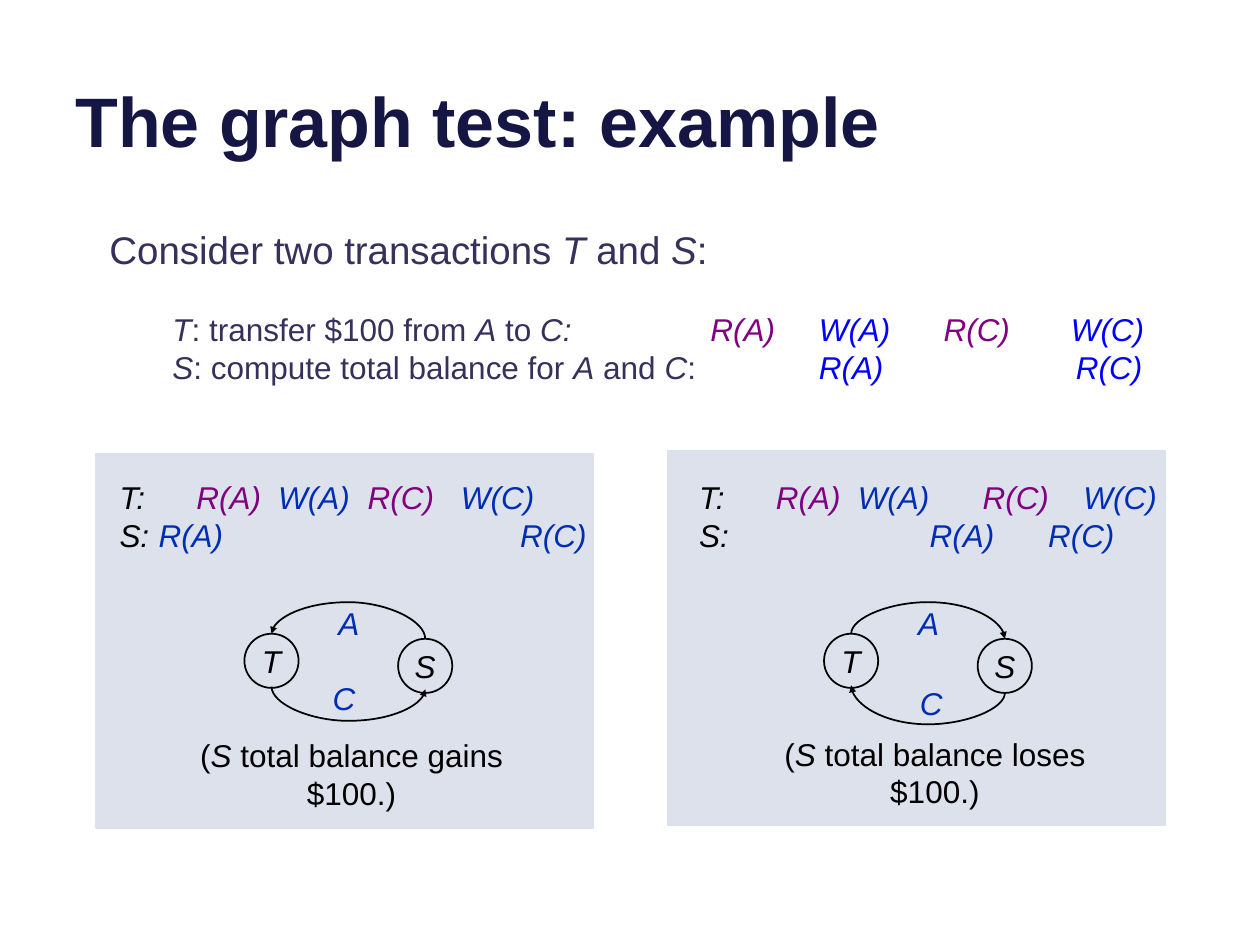
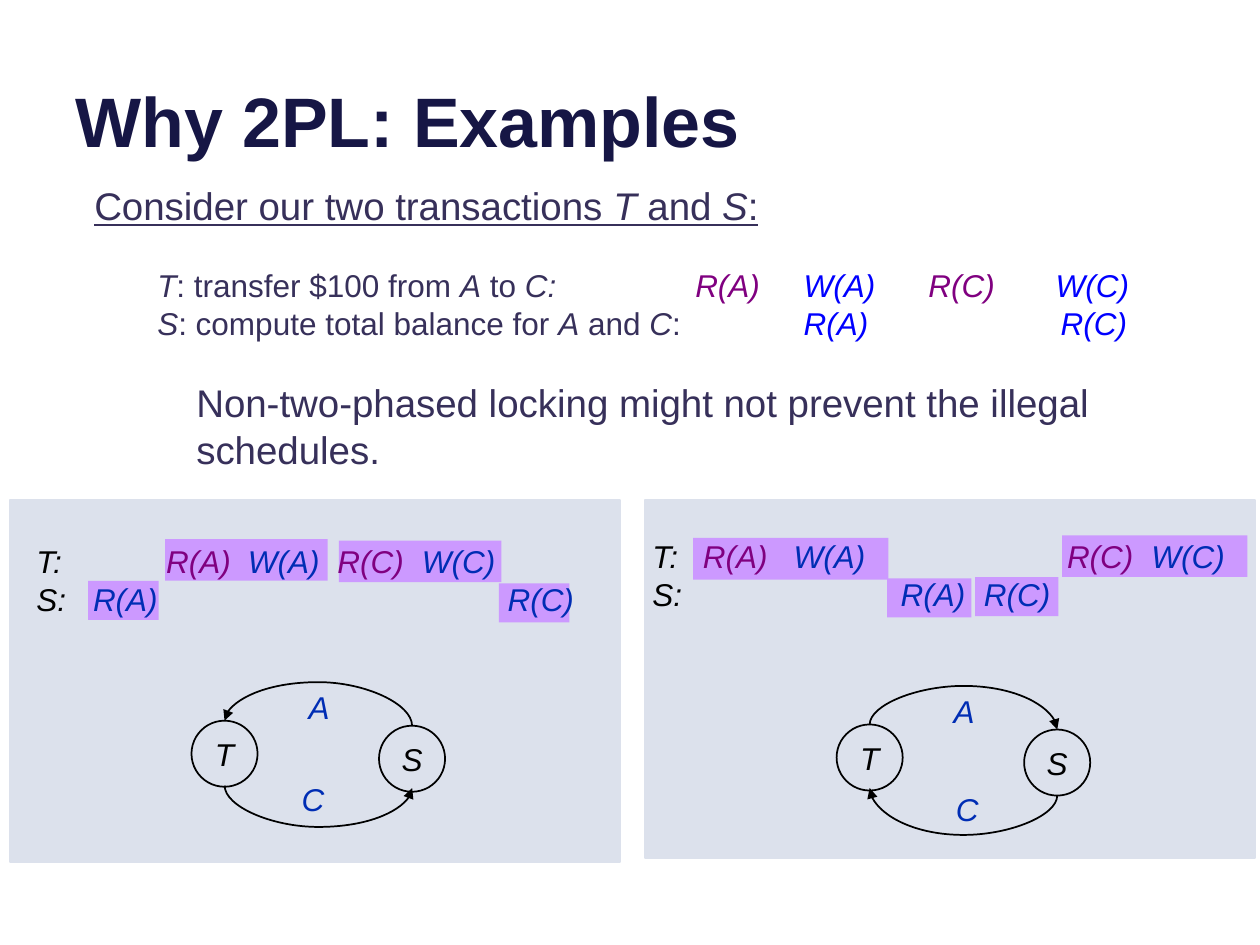
"""Build two slides on serializability graphs and two-phase locking."""
from lxml import etree
from pptx import Presentation
from pptx.dml.color import RGBColor
from pptx.enum import shapes, text
from pptx.oxml.ns import qn
from pptx.util import Inches, Pt

COLORS = {"title": "161645", "body": "37305A", "black": "000000", "read": "800080",
          "bright": "0000FF", "blue": "002DB4", "panel": "DCE1EC", "lock": "CC99FF"}
FONT = "Arial"
TRANSACTIONS = [
    ("_T_: transfer $100 from _A_ to _C:_",
     [("R(A)", 4.77), ("W(A)", 5.63), ("R(C)", 6.62), ("W(C)", 7.63)]),
    ("_S_: compute total balance for _A_ and _C_:", [("R(A)", 5.63), ("R(C)", 7.67)]),
]
SLIDES = [
    {"title": "The graph test: example",
     "intro": "Consider two transactions _T_ and _S_:", "underline": False,
     "body": (0.77, 1.74, 8.82, 1.38), "note": None, "scale": 1, "head": "sm",
     "panels": [
         {"box": (0.76, 3.6, 3.95, 2.97), "locks": [], "schedule": (0.85, 3.74, 4.01, 0.71),
          "T": [("R(A)", 0.61), ("W(A)", 1.26), ("R(C)", 1.97), ("W(C)", 2.71)],
          "S": [("R(A)", 0.31), ("R(C)", 3.18)],
          "graph": (1.94, 5.03), "clockwise": False,
          "caption": "(_S_ total balance gains $100.)", "caption_at": (1.24, 5.94, 3.1, 0.4)},
         {"box": (5.3, 3.58, 3.95, 2.97), "locks": [], "schedule": (5.45, 3.74, 4.1, 0.71),
          "T": [("R(A)", 0.61), ("W(A)", 1.26), ("R(C)", 2.25), ("W(C)", 3.05)],
          "S": [("R(A)", 1.83), ("R(C)", 2.77)],
          "graph": (6.54, 5.03), "clockwise": True,
          "caption": "(_S_ total balance loses $100.)", "caption_at": (5.88, 5.93, 3.08, 0.4)},
     ]},
    {"title": "Why 2PL: Examples",
     "intro": "Consider our two transactions _T_ and _S_:", "underline": True,
     "body": (0.65, 1.57, 8.93, 2.05), "scale": 1.22, "head": "med",
     "note": "Non-two-phased locking might not prevent the illegal schedules.",
     "panels": [
         {"box": (0.08, 3.97, 4.84, 2.87), "schedule": (0.19, 4.25, 4.57, 0.71),
          "locks": [(1.31, 4.28, 1.29, 0.33), (0.7, 4.61, 0.56, 0.31),
                    (2.69, 4.29, 1.29, 0.33), (3.96, 4.63, 0.56, 0.31)],
          "T": [("R(A)", 1.03), ("W(A)", 1.68), ("R(C)", 2.39), ("W(C)", 3.06)],
          "S": [("R(A)", 0.45), ("R(C)", 3.74)],
          "graph": (1.52, 5.72), "clockwise": False, "caption": None},
         {"box": (5.12, 3.97, 4.84, 2.84), "schedule": (5.08, 4.21, 4.88, 0.71),
          "locks": [(5.5, 4.27, 1.55, 0.33), (7.04, 4.59, 0.67, 0.31),
                    (8.43, 4.25, 1.47, 0.33), (7.74, 4.58, 0.66, 0.31)],
          "T": [("R(A)", 0.4), ("W(A)", 1.12), ("R(C)", 3.29), ("W(C)", 3.96)],
          "S": [("R(A)", 1.97), ("R(C)", 2.63)],
          "graph": (6.64, 5.75), "clockwise": True, "caption": None},
     ]},
]


def rgb(name):
    return RGBColor.from_string(COLORS[name])


def write(p, content, size=18, color="black", bold=False, italic=False, underline=False,
          align=text.PP_ALIGN.LEFT):
    """Add text to a paragraph; parts between underscores are italic."""
    p.alignment = align
    for i, part in enumerate(content.split("_")):
        if part:
            r = p.add_run()
            r.text = part
            f = r.font
            f.name, f.size, f.bold, f.underline = FONT, Pt(size), bold, underline
            f.italic = italic or i % 2 == 1
            f.color.rgb = rgb(color)


def set_frame(tf, anchor=text.MSO_ANCHOR.MIDDLE, inset=0.1):
    tf.word_wrap, tf.vertical_anchor = True, anchor
    tf.margin_left = tf.margin_right = Inches(inset)
    tf.margin_top = tf.margin_bottom = Inches(inset / 2)
    return tf


def add_box(slide, at, **frame):
    return set_frame(slide.shapes.add_textbox(*map(Inches, at)).text_frame, **frame)


def add_shape(slide, kind, at, fill=None, line=None):
    sp = slide.shapes.add_shape(kind, *map(Inches, at))
    sp.shadow.inherit = False
    if fill:
        sp.fill.solid()
        sp.fill.fore_color.rgb = rgb(fill)
    else:
        sp.fill.background()
    if line:
        sp.line.color.rgb, sp.line.width = rgb(line), Pt(1)
    else:
        sp.line.fill.background()
    return sp


def set_tabs(p, stops):
    tabs = etree.SubElement(p._p.get_or_add_pPr(), qn("a:tabLst"))
    for stop in stops:
        etree.SubElement(tabs, qn("a:tab"), pos=str(Inches(stop)), algn="l")


def add_operations(p, operations, reads, writes, indent=()):
    for name, _ in operations:
        write(p, "\t" + name, italic=True, color=reads if name[0] == "R" else writes)
    set_tabs(p, [*indent, *(x for _, x in operations)])


def add_label(slide, content, x, y):
    tf = add_box(slide, (x - 0.2, y - 0.2, 0.4, 0.4), inset=0)
    write(tf.paragraphs[0], content, color="blue", italic=True, align=text.PP_ALIGN.CENTER)


def add_arc(slide, start, end, peak, head):
    """Draw a curved arrow that bulges up or down to the height peak."""
    (x1, y1), (x2, y2) = start, end
    turn = 1 if peak < y1 else -1
    cx, cy = (x1 + x2) / 2, (y1 + y2) / 2
    dx, dy = turn * (x2 - x1) / 2, turn * (y2 - y1) / 2
    cn = slide.shapes.add_connector(shapes.MSO_CONNECTOR.CURVE, Inches(cx - dy),
                                    Inches(cy + dx), Inches(cx + dy), Inches(cy - dx))
    cn.rotation = 90 if turn == 1 else 270
    cn.line.color.rgb, cn.line.width = rgb("black"), Pt(1)
    props = cn._element.spPr
    guide = round((peak - y1) / (y2 - y1) * 100000)
    etree.SubElement(props.find(qn("a:prstGeom")).find(qn("a:avLst")), qn("a:gd"),
                     name="adj1", fmla=f"val {guide}")
    etree.SubElement(props.find(qn("a:ln")), qn("a:tailEnd"), type="triangle", w=head, len=head)
    etree.SubElement(props, qn("a:effectLst"))


def add_graph(slide, x, y, clockwise, scale, head):
    size, step, drop = 0.43 * scale, 1.22 * scale, 0.04
    for name, left, top in (("T", x, y), ("S", x + step, y + drop)):
        node = add_shape(slide, shapes.MSO_SHAPE.OVAL, (left, top, size, size), line="black")
        tf = set_frame(node.text_frame, inset=0)
        write(tf.paragraphs[0], name, italic=True, align=text.PP_ALIGN.CENTER)
    t_mid, s_mid = x + size / 2, x + step + size / 2
    upper = [(s_mid, y + drop), (t_mid, y)]
    if clockwise:
        upper.reverse()
        lower = [(s_mid, y + drop + size), (t_mid, y + size - 0.02)]
        depth, c_at = 0.72, (0.85, 0.55)
    else:
        lower = [(t_mid, y + size - 0.01), (s_mid, y + size + 0.01)]
        depth, c_at = 0.69, (0.79, 0.51)
    add_arc(slide, *upper, y - 0.25 * scale, head)
    add_arc(slide, *lower, y + depth * scale, head)
    for name, (lx, ly) in (("A", (0.83, -0.09)), ("C", c_at)):
        add_label(slide, name, x + lx * scale, y + ly * scale)


def add_body(slide, data):
    tf = add_box(slide, data["body"])
    write(tf.paragraphs[0], data["intro"], size=22, color="body", underline=data["underline"])
    for i, (line, operations) in enumerate(TRANSACTIONS):
        p = tf.add_paragraph()
        p.space_before = Pt(0 if i else 21.6)
        write(p, "\t" + line, color="body")
        add_operations(p, operations, "bright" if i else "read", "bright", indent=[0.5])
    if data["note"]:
        p = tf.add_paragraph()
        p.space_before = Pt(21.6)
        write(p, data["note"], size=22, color="body")
        p._p.get_or_add_pPr().set("marL", str(Inches(0.81)))


def add_panel(slide, panel, scale, head):
    rect = shapes.MSO_SHAPE.RECTANGLE
    add_shape(slide, rect, panel["box"], fill="panel", line="panel")
    for lock in panel["locks"]:
        add_shape(slide, rect, lock, fill="lock")
    tf = add_box(slide, panel["schedule"])
    for name, p in (("T", tf.paragraphs[0]), ("S", tf.add_paragraph())):
        write(p, name + ":", italic=True)
        add_operations(p, panel[name], "read" if name == "T" else "blue", "blue")
    add_graph(slide, *panel["graph"], panel["clockwise"], scale, head)
    if panel["caption"]:
        tf = add_box(slide, panel["caption_at"])
        write(tf.paragraphs[0], panel["caption"], align=text.PP_ALIGN.CENTER)


def main():
    prs = Presentation()
    prs.slide_width, prs.slide_height = Inches(10), Inches(7.5)
    for data in SLIDES:
        slide = prs.slides.add_slide(prs.slide_layouts[6])
        tf = add_box(slide, (0.5, -0.37, 9, 1.7), anchor=text.MSO_ANCHOR.BOTTOM)
        write(tf.paragraphs[0], data["title"], size=40, color="title", bold=True)
        add_body(slide, data)
        for panel in data["panels"]:
            add_panel(slide, panel, data["scale"], data["head"])
    prs.save("out.pptx")


if __name__ == "__main__":
    main()
